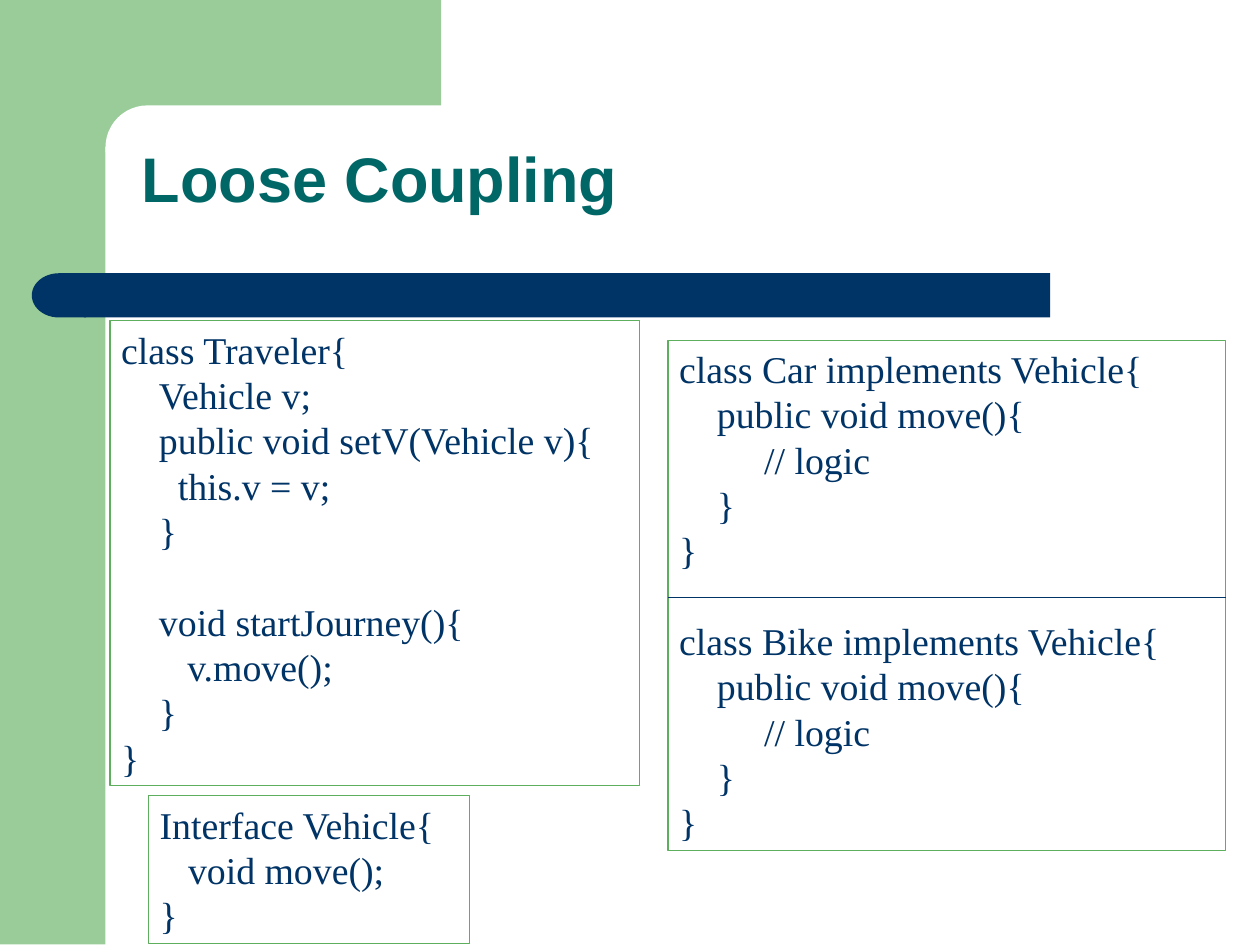
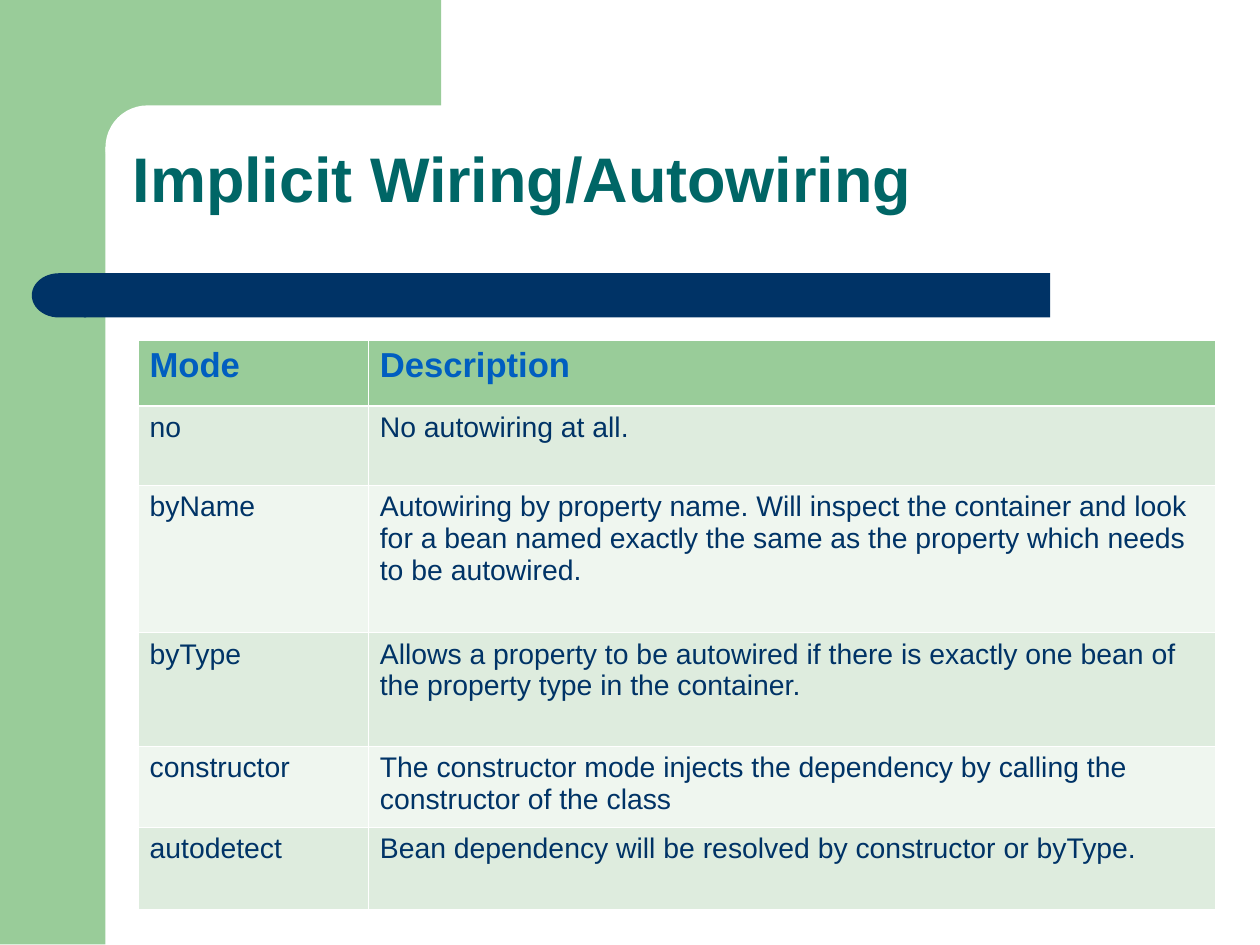
from lxml import etree
from pptx import Presentation
from pptx.dml.color import RGBColor
from pptx.enum.shapes import MSO_CONNECTOR, MSO_SHAPE
from pptx.enum.text import MSO_ANCHOR, MSO_AUTO_SIZE, PP_ALIGN
from pptx.oxml.ns import qn
from pptx.util import Inches, Pt

RECT = MSO_SHAPE.RECTANGLE
ROUNDED = MSO_SHAPE.ROUNDED_RECTANGLE
HALF_ROUND = MSO_SHAPE.FLOWCHART_DELAY
STRAIGHT = MSO_CONNECTOR.STRAIGHT
TOP, BOTTOM = MSO_ANCHOR.TOP, MSO_ANCHOR.BOTTOM
LEFT = PP_ALIGN.LEFT
NO_AUTOSIZE = MSO_AUTO_SIZE.NONE

WHITE = RGBColor(0xFF, 0xFF, 0xFF)
GREEN = RGBColor(0x99, 0xCC, 0x99)
BOX_GREEN = RGBColor(0x5D, 0xAE, 0x5D)
NAVY = RGBColor(0x00, 0x33, 0x66)
TEAL = RGBColor(0x00, 0x66, 0x66)
HEADER_BLUE = RGBColor(0x00, 0x5E, 0xC0)
ROW_TINTS = (RGBColor(0xDE, 0xEC, 0xDE), RGBColor(0xEF, 0xF6, 0xEF))

SLIDE_WIDTH, SLIDE_HEIGHT = Inches(100 / 9), Inches(8.335)
SANS, SERIF = "Arial", "Times New Roman"
TITLE_ONLY = 5
CODE_LINE = Pt(28.8)
CODE_SPACE = Inches(1 / 12)  # one space of 24 pt serif
THIN, THICK = Pt(0.45), Pt(1.47)
BOX_LINE = Pt(0.74)

# Code blocks: left, top, width, height, source lines
INTERFACE = (1.31, 7.02, 2.83, 1.3, [
    "Interface Vehicle{",
    "   void move();",
    "}",
])
TRAVELER = (0.97, 2.83, 4.67, 4.1, [
    "class Traveler{",
    "    Vehicle v;",
    "    public void setV(Vehicle v){",
    "      this.v = v;",
    "    }",
    "",
    "    void startJourney(){",
    "       v.move();",
    "    }",
    "}",
])


def vehicle_class(name):
    return [f"class {name} implements Vehicle{{", "    public void move(){",
            "         // logic", "    }", "}"]


VEHICLES = (5.89, 3, 4.92, 4.5,
            vehicle_class("Car") + [""] + vehicle_class("Bike"))

# Table rows: height, mode, description
MODES = [
    (0.58, "Mode", "Description"),
    (0.7, "no", "No autowiring at all."),
    (1.3, "byName", "Autowiring by property name. Will inspect the container "
     "and look for a bean named exactly the same as the property which needs "
     "to be autowired."),
    (1, "byType", "Allows a property to be autowired if there is exactly one "
     "bean of the property type in the container."),
    (0.72, "constructor", "The constructor mode injects the dependency by "
     "calling the constructor of the class"),
    (0.72, "autodetect",
     "Bean dependency will be resolved by constructor or byType."),
]
MODE_COLUMNS = (2.03, 7.47)


def add_run(paragraph, text, font, size, color, bold=False):
    run = paragraph.add_run()
    run.text = text
    run.font.name = font
    run.font.size = Pt(size)
    run.font.color.rgb = color
    run.font.bold = bold


def add_block(slide, kind, left, top, width, height, fill=None):
    block = slide.shapes.add_shape(kind, Inches(left), Inches(top),
                                   Inches(width), Inches(height))
    block.shadow.inherit = False
    if fill is None:
        block.fill.background()
    else:
        block.fill.solid()
        block.fill.fore_color.rgb = fill
        block.line.fill.background()
    return block


def decorate_layout(layout, slide):
    """Draw the bands once and move them behind the layout's placeholders."""
    corner = add_block(slide, ROUNDED, 0.93, 0.93, 6.21, 0.74, WHITE)
    corner.adjustments[0] = 0.5
    bar_end = add_block(slide, HALF_ROUND, 0.28, 2.41, 0.48, 0.39, NAVY)
    bar_end.rotation = 180
    bands = [
        add_block(slide, RECT, 0, 0, 0.93, 8.33, GREEN),
        add_block(slide, RECT, 0.83, 0, 3.06, 1.3, GREEN),
        corner,
        add_block(slide, RECT, 0.74, 2.41, 8.52, 0.39, NAVY),
        bar_end,
    ]
    for position, band in enumerate(bands, start=2):
        layout.shapes._spTree.insert(position, band._element)


def set_title(slide, text, left):
    title = slide.shapes.title
    title.left, title.top = Inches(left), Inches(0.58)
    title.width, title.height = Inches(9.72), Inches(1.39)
    frame = title.text_frame
    frame.auto_size = NO_AUTOSIZE
    frame.vertical_anchor = BOTTOM
    frame.margin_left = frame.margin_right = Inches(0.11)
    frame.margin_top = frame.margin_bottom = Inches(0.06)
    heading = frame.paragraphs[0]
    heading.alignment = LEFT
    heading.line_spacing = 0.9
    add_run(heading, text, SANS, 40, TEAL, bold=True)


def add_code(slide, left, top, width, height, lines):
    box = add_block(slide, RECT, left, top, width, height)
    box.line.color.rgb = BOX_GREEN
    box.line.width = BOX_LINE
    frame = box.text_frame
    frame.word_wrap = True
    frame.vertical_anchor = TOP
    frame.margin_left = frame.margin_right = Inches(0.1)
    frame.margin_top = frame.margin_bottom = Inches(0.05)
    paragraph, gap = frame.paragraphs[0], 0
    for number, line in enumerate(lines):
        code = line.lstrip()
        if not code:  # an empty line becomes space before the next one
            gap = CODE_LINE
            continue
        if number:
            paragraph = frame.add_paragraph()
        paragraph.alignment = LEFT
        paragraph.line_spacing = CODE_LINE
        paragraph.space_before, gap = gap, 0
        indent = (len(line) - len(code)) * CODE_SPACE
        paragraph._p.get_or_add_pPr().set("marL", str(indent))
        add_run(paragraph, code, SERIF, 24, NAVY)


def add_divider(slide, left, right, y):
    divider = slide.shapes.add_connector(STRAIGHT, Inches(left), Inches(y),
                                         Inches(right), Inches(y))
    divider.line.color.rgb = NAVY
    divider.line.width = BOX_LINE
    etree.SubElement(divider._element.spPr, qn("a:effectLst"))


def set_borders(cell, top, bottom):
    properties = cell._tc.get_or_add_tcPr()
    for side, width in (("L", THIN), ("R", THIN), ("T", top), ("B", bottom)):
        border = etree.SubElement(properties, qn(f"a:ln{side}"), w=str(width))
        fill = etree.SubElement(border, qn("a:solidFill"))
        etree.SubElement(fill, qn("a:srgbClr"), val=str(WHITE))


def add_modes_table(slide, left, top):
    height = sum(row[0] for row in MODES)
    table = slide.shapes.add_table(
        len(MODES), len(MODE_COLUMNS), Inches(left), Inches(top),
        Inches(sum(MODE_COLUMNS)), Inches(height)).table
    for column, width in zip(table.columns, MODE_COLUMNS):
        column.width = Inches(width)
    for r, (row_height, *texts) in enumerate(MODES):
        table.rows[r].height = Inches(row_height)
        header = r == 0
        for c, text in enumerate(texts):
            cell = table.cell(r, c)
            set_borders(cell, THICK if r == 1 else THIN,
                        THICK if header else THIN)
            cell.fill.solid()
            cell.fill.fore_color.rgb = GREEN if header else ROW_TINTS[(r - 1) % 2]
            add_run(cell.text_frame.paragraphs[0], text, SANS,
                    22 if header else 18,
                    HEADER_BLUE if header else NAVY, bold=header)


def main():
    deck = Presentation()
    deck.slide_width, deck.slide_height = SLIDE_WIDTH, SLIDE_HEIGHT
    layout = deck.slide_layouts[TITLE_ONLY]

    # Loose coupling: code boxes
    coupling = deck.slides.add_slide(layout)
    decorate_layout(layout, coupling)
    set_title(coupling, "Loose Coupling", 1.14)
    for code_block in (INTERFACE, TRAVELER, VEHICLES):
        add_code(coupling, *code_block)
    add_divider(coupling, 5.89, 10.81, 5.27)

    # Autowiring: table of modes
    autowiring = deck.slides.add_slide(layout)
    set_title(autowiring, "Implicit Wiring/Autowiring", 1.06)
    add_modes_table(autowiring, 1.22, 3)

    deck.save("out.pptx")


main()
